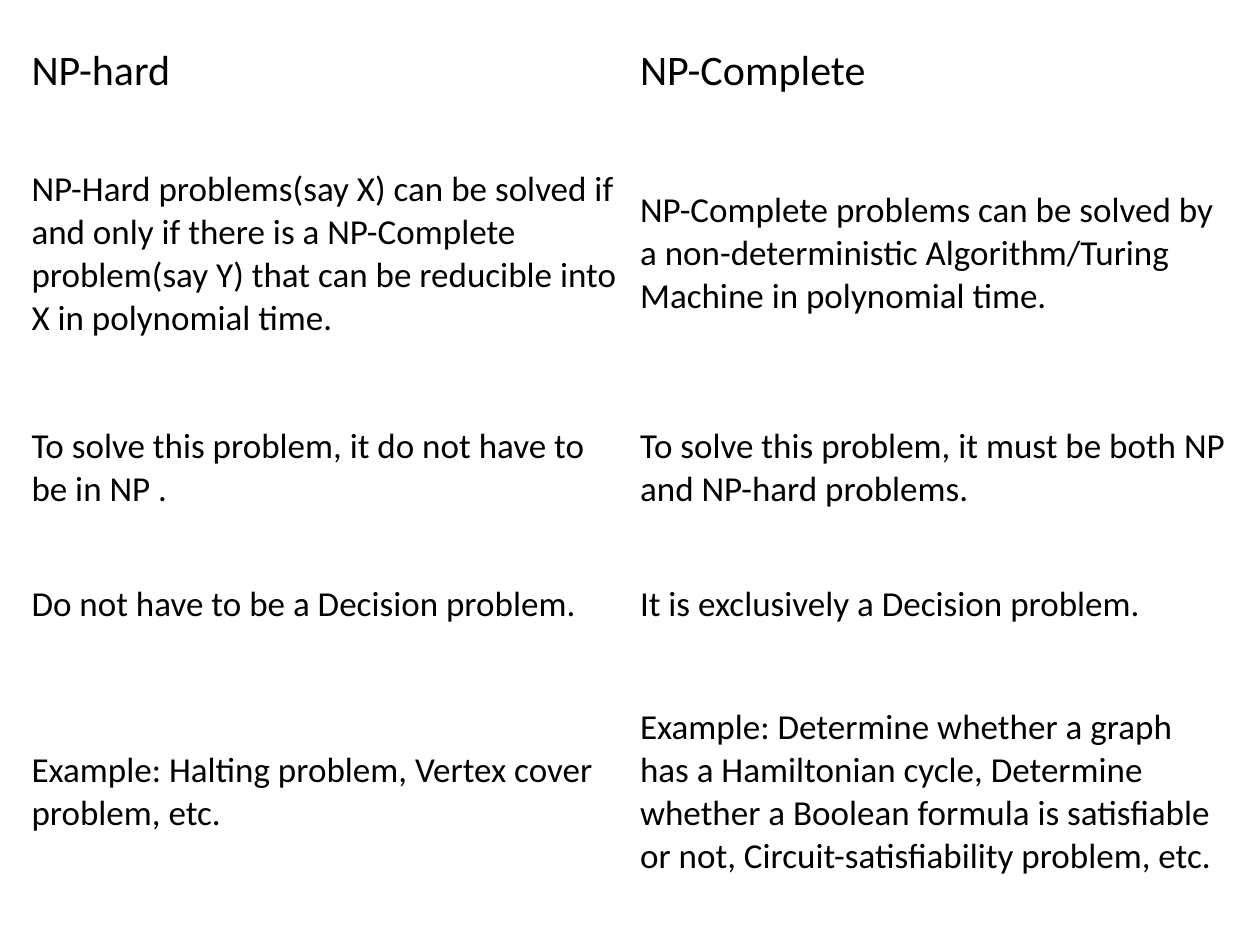
from pptx import Presentation
from pptx.dml.color import RGBColor
from pptx.enum.text import MSO_ANCHOR
from pptx.util import Inches, Pt

MIDDLE = MSO_ANCHOR.MIDDLE

THEME = {
    "font": "Calibri",
    "text": RGBColor(0x00, 0x00, 0x00),
    "header_size": Pt(24),
    "body_size": Pt(20),
}

COMPARISON = [
    ("NP-hard", "NP-Complete"),
    (
        "NP-Hard problems(say X) can be solved if and only if there is a "
        "NP-Complete problem(say Y) that can be reducible into X in polynomial time.",
        "NP-Complete problems can be solved by a non-deterministic "
        "Algorithm/Turing Machine in polynomial time.",
    ),
    (
        "To solve this problem, it do not have to be in NP .",
        "To solve this problem, it must be both NP and NP-hard problems.",
    ),
    (
        "Do not have to be a Decision problem.",
        "It is exclusively a Decision problem.",
    ),
    (
        "Example: Halting problem, Vertex cover problem, etc.",
        "Example: Determine whether a graph has a Hamiltonian cycle, Determine "
        "whether a Boolean formula is satisfiable or not, "
        "Circuit-satisfiability problem, etc.",
    ),
]
ROW_HEIGHTS = [0.79, 2.11, 1.29, 0.87, 2.11]
COLUMN_WIDTH = 4.83
TABLE_MARGIN = 0.17
SIDE_INSET = 0.08
HEADER_INSET = 0.08
BODY_INSET = 0.12


def fill_cell(cell, text, is_header):
    cell.fill.background()
    cell.vertical_anchor = MIDDLE
    cell.margin_left = cell.margin_right = Inches(SIDE_INSET)
    cell.margin_top = cell.margin_bottom = Inches(HEADER_INSET if is_header else BODY_INSET)
    cell.text_frame.text = text
    font = cell.text_frame.paragraphs[0].runs[0].font
    font.name = THEME["font"]
    font.size = THEME["header_size"] if is_header else THEME["body_size"]
    font.bold = False
    font.color.rgb = THEME["text"]


def add_comparison(page):
    column_count = len(COMPARISON[0])
    table = page.shapes.add_table(
        len(COMPARISON), column_count,
        Inches(TABLE_MARGIN), Inches(TABLE_MARGIN),
        Inches(COLUMN_WIDTH * column_count), Inches(sum(ROW_HEIGHTS)),
    ).table
    table.first_row = False
    table.horz_banding = False
    for column in table.columns:
        column.width = Inches(COLUMN_WIDTH)
    for row_index, (row, height, texts) in enumerate(zip(table.rows, ROW_HEIGHTS, COMPARISON)):
        row.height = Inches(height)
        for cell, text in zip(row.cells, texts):
            fill_cell(cell, text, row_index == 0)


def main():
    deck = Presentation()
    deck.slide_width, deck.slide_height = Inches(10), Inches(7.5)
    page = deck.slides.add_slide(deck.slide_layouts[6])
    add_comparison(page)
    deck.save("out.pptx")


if __name__ == "__main__":
    main()
